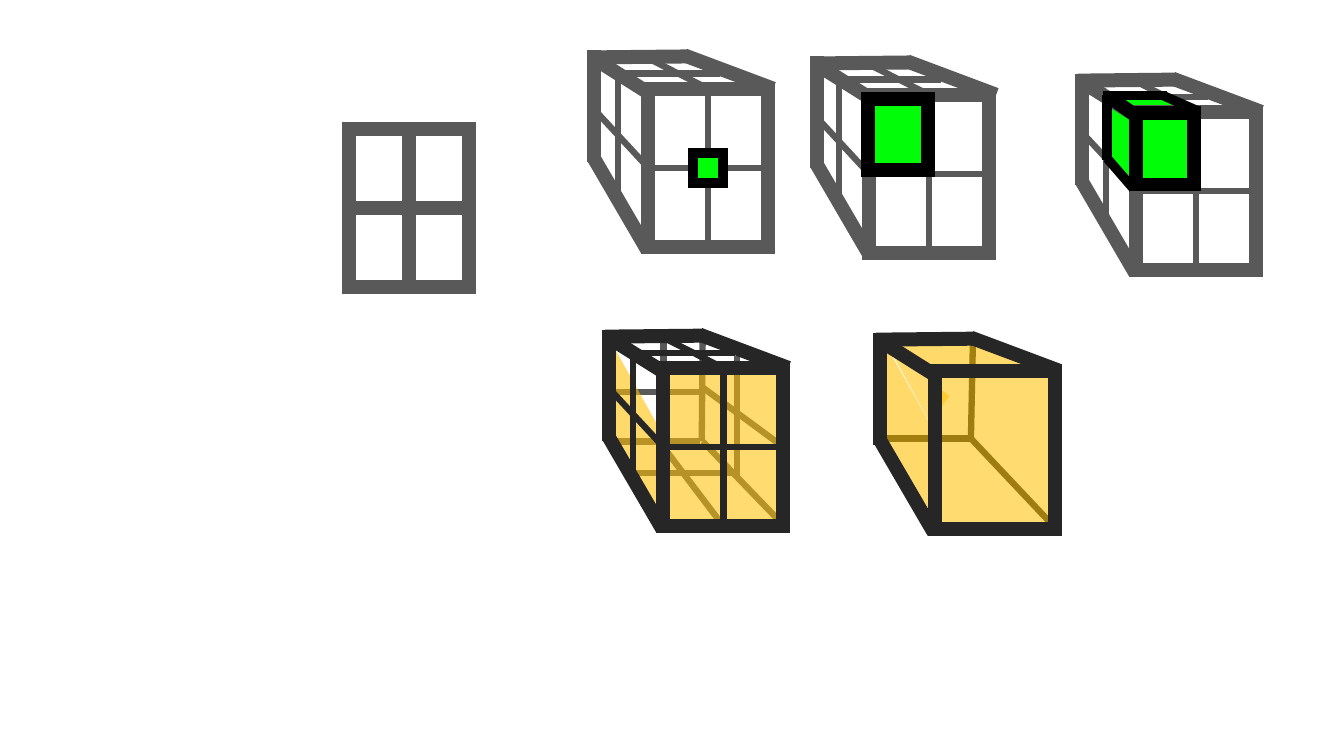
from lxml import etree
from pptx import Presentation
from pptx import util as u
from pptx.dml.color import RGBColor
from pptx.enum import shapes
from pptx.oxml import ns

PX = 9144  # EMU per px, 100 px to the inch

GREY = RGBColor(0x59, 0x59, 0x59)
DARK = RGBColor(0x26, 0x26, 0x26)
BLACK = RGBColor(0, 0, 0)
GREEN = RGBColor(0x01, 0xFD, 0x07)
AMBER = RGBColor(0xFF, 0xC0, 0x00)
BLUE = RGBColor(0x43, 0x73, 0x9E)

RECT = shapes.MSO_SHAPE.RECTANGLE
SLANT = shapes.MSO_SHAPE.PARALLELOGRAM
TRIANGLE = shapes.MSO_SHAPE.ISOSCELES_TRIANGLE

THICK, THIN = 10, 4.5
FACE_W, FACE_H = 119, 157
TOP, LEFT, BOTTOM, RIGHT = range(4)

# Offsets from the top left corner of a crate's front face
OUTER_EDGES = [
    (-54, -30, 0, 4),
    (-54, -38, -54, 73),
    (-54, 69, -1, 160),
    (-58, -31, 39, -32),
    (36, -33, 124, 0),
]
SIDE_UPRIGHT = (-30, -15, -30, 105)
SIDE_RAIL = (-56, 18, 0, 78)
TOP_RAIL = (-2, -31, 59, 0)
TOP_CROSSBAR = (-28, -15, 71, -15)


def add_line(s, ends, color, width, begin=None, end=None):
    """Straight line; begin and end are optional (shape, side) joints."""
    c = s.shapes.add_connector(shapes.MSO_CONNECTOR.STRAIGHT, *(v * PX for v in ends))
    c.line.color.rgb = color
    c.line.width = u.Pt(width)
    etree.SubElement(c._element.spPr, ns.qn("a:effectLst"))
    if begin:
        c.begin_connect(*begin)
    if end:
        c.end_connect(*end)
    return c


def add_outline(s, kind, box, fill=None, alpha=None, line=None, width=THICK,
                slant=None, turn=0, flip=None):
    """Preset shape with optional translucent fill and mitred line."""
    sp = s.shapes.add_shape(kind, *(v * PX for v in box))
    sp.shadow.inherit = False
    sp.rotation = turn
    if slant:
        sp.adjustments[0] = slant
    if flip:
        sp._element.spPr.find(ns.qn("a:xfrm")).set(flip, "1")
    if fill is None:
        sp.fill.background()
    else:
        sp.fill.solid()
        sp.fill.fore_color.rgb = fill
    if alpha:
        clr = sp._element.spPr.find(ns.qn("a:solidFill"))[0]
        etree.SubElement(clr, ns.qn("a:alpha"), val=str(alpha * 1000))
    if line is None:
        sp.line.fill.background()
    else:
        sp.line.color.rgb = line
        sp.line.width = u.Pt(width)
        ln = sp._element.spPr.find(ns.qn("a:ln"))
        etree.SubElement(ln, ns.qn("a:miter"), lim="800000")
    return sp


def add_face(s, x, y, color, fill=None):
    return add_outline(s, RECT, (x, y, FACE_W, FACE_H), fill, 56 if fill else None, color)


def add_cross(s, face, color, width):
    """Two bars joining the middles of a face's sides."""
    for a, b in ((TOP, BOTTOM), (RIGHT, LEFT)):
        add_line(s, (0, 0, 0, 0), color, width, (face, a), (face, b))


def add_crate(s, face, x, y, color, grid=True, shift=0):
    """Receding edges around a front face, with or without the 2 x 2 grid."""
    def edge(ends, width, dx=0, end=None):
        x1, y1, x2, y2 = ends
        add_line(s, (x + dx + x1, y + y1, x + dx + x2, y + y2), color, width, end=end)

    if grid:
        add_cross(s, face, color, THIN)
    for ends in OUTER_EDGES:
        edge(ends, THICK, shift)
    if grid:
        edge(SIDE_UPRIGHT, THIN)
        edge(SIDE_RAIL, THIN, end=(face, LEFT))
        edge(TOP_RAIL, THIN, end=(face, TOP))
        edge(TOP_CROSSBAR, THIN)


def add_grey_crate(s, x, y, shift=0):
    add_crate(s, add_face(s, x, y, GREY), x, y, GREY, shift=shift)


def add_green_block(s):
    """Front, side and top of one highlighted cell of the third crate."""
    add_outline(s, RECT, (1127, 112, 57, 71), GREEN, line=BLACK, width=9.75)
    add_line(s, (1100, 96, 1127, 115), BLACK, 9.75)
    for ends in ((1098, 157, 1124, 187), (1098, 94, 1098, 159),
                 (1094, 95, 1157, 95), (1154, 95, 1188, 110)):
        add_line(s, ends, BLACK, 6.75)


def add_amber_grid_crate(s):
    x, y = 658, 365
    face = add_face(s, x, y, DARK, AMBER)
    # Hidden bars behind the side panel
    for ends in ((694, 438, 604, 438), (696, 389, 606, 389), (728, 469, 630, 469)):
        add_line(s, ends, GREY, THIN)
    add_outline(s, SLANT, (534, 407, 189, 48), AMBER, 58, slant=1.789, turn=270)
    # Hidden bars behind the front face
    add_line(s, (658, 443, 658, 332), GREY, THIN, begin=(face, LEFT))
    add_line(s, (731, 353, 731, 472), GREY, THIN)
    add_line(s, (695, 383, 777, 443), GREY, THIN, end=(face, RIGHT))
    add_line(s, (717, 522, 658, 443), GREY, THIN, (face, BOTTOM), (face, LEFT))
    add_line(s, (696, 438, 697, 329), GREY, THIN)
    add_line(s, (778, 522, 697, 438), GREY, THIN)
    # Bring the front face above the hidden bars
    face._element.getparent().append(face._element)
    add_crate(s, face, x, y, DARK)


def add_amber_plain_crate(s):
    x, y = 927, 368
    add_outline(s, TRIANGLE, (885, 341, 32, 79), AMBER, 56, slant=1, turn=309.3)
    add_line(s, (963, 434, 965, 336), DARK, THIN)
    add_outline(s, SLANT, (872, 338, 171, 34), AMBER, 58, slant=1.632, flip="flipV")
    add_line(s, (962, 435, 874, 435), DARK, THIN)
    add_line(s, (1045, 522, 962, 434), DARK, THIN)
    add_outline(s, SLANT, (799, 406, 196, 48), AMBER, 58, slant=1.789, turn=270)
    add_crate(s, add_face(s, x, y, DARK, AMBER), x, y, DARK, grid=False)


def main():
    prs = Presentation()
    prs.slide_width, prs.slide_height = 1333 * PX, 750 * PX
    s = prs.slides.add_slide(prs.slide_layouts[6])

    # Flat grid
    add_cross(s, add_face(s, 346, 128, GREY), GREY, THICK)

    # Crate with a marked centre point
    add_grey_crate(s, 643, 88)
    add_outline(s, RECT, (687, 152, 30, 30), GREEN, line=BLACK, width=7.25)

    # Crate with a marked front cell
    add_grey_crate(s, 862, 94, shift=2)
    add_outline(s, RECT, (861, 98, 59, 71), GREEN, line=BLACK)

    # Crate with a marked block
    add_outline(s, SLANT, (1063, 122, 94, 27), GREEN, line=BLUE, width=1,
                slant=1.105, turn=270)
    add_outline(s, SLANT, (1103, 93, 74, 20), GREEN, line=BLUE, width=1,
                slant=0.994, turn=180, flip="flipH")
    add_grey_crate(s, 1127, 111)
    add_green_block(s)

    # Translucent crates
    add_amber_grid_crate(s)
    add_amber_plain_crate(s)

    prs.save("out.pptx")


if __name__ == "__main__":
    main()
